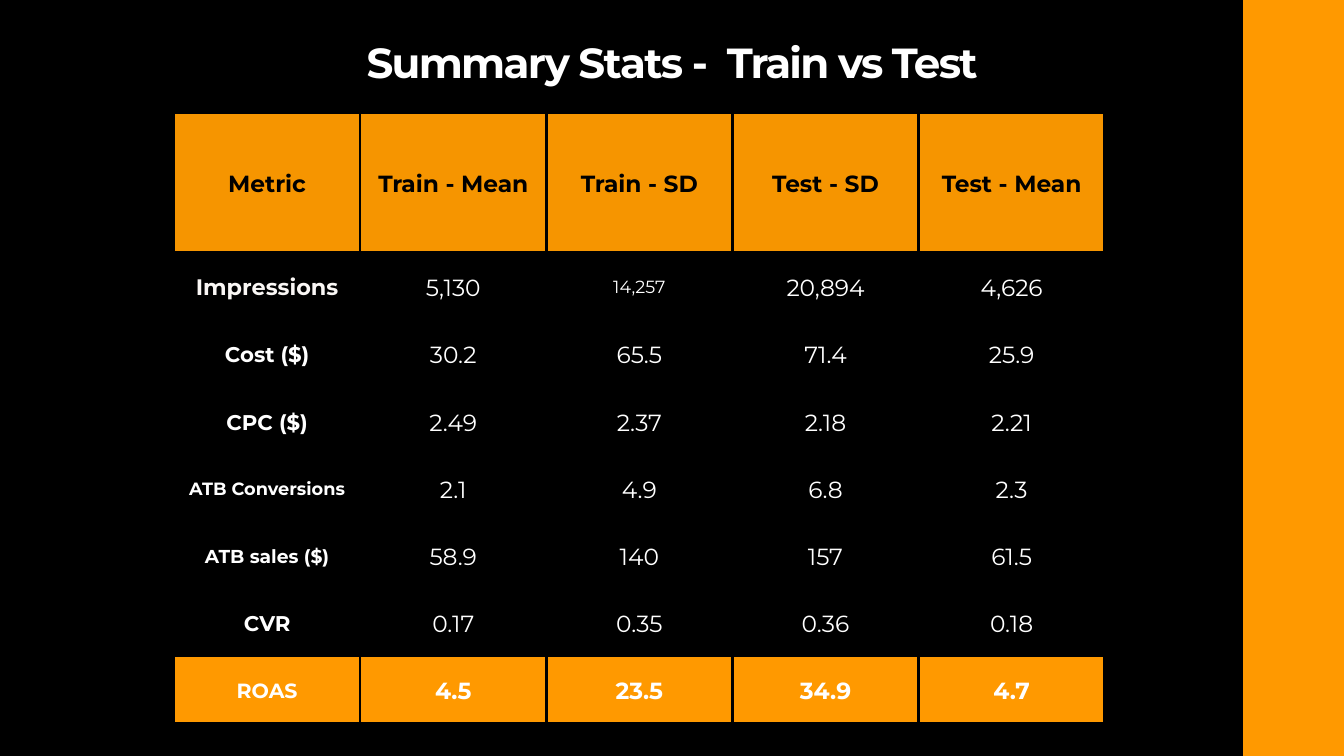
from lxml.etree import SubElement
from pptx import Presentation
from pptx.dml.color import RGBColor
from pptx.enum.shapes import MSO_SHAPE
from pptx.enum.text import MSO_ANCHOR, MSO_AUTO_SIZE, PP_ALIGN
from pptx.oxml.ns import qn
from pptx.util import Inches, Pt

FONT = "Montserrat"
BLACK, WHITE, OFF_WHITE = "000000", "FFFFFF", "FAF7F5"
ORANGE, HEADER_ORANGE = "FF9900", "F69500"

TITLE = "Summary Stats -  Train vs Test"
ROWS = [
    ("Metric", "Train - Mean", "Train - SD", "Test - SD", "Test - Mean"),
    ("Impressions", "5,130", "14,257", "20,894", "4,626"),
    ("Cost ($)", "30.2", "65.5", "71.4", "25.9"),
    ("CPC ($)", "2.49", "2.37", "2.18", "2.21"),
    ("ATB Conversions", "2.1", "4.9", "6.8", "2.3"),
    ("ATB sales ($)", "58.9", "140", "157", "61.5"),
    ("CVR", "0.17", "0.35", "0.36", "0.18"),
    ("ROAS", "4.5", "23.5", "34.9", "4.7"),
]
ROW_HEIGHTS = [2.07, 1.01] + [1] * 6
COLUMN_WIDTH = 2.77
CELL_MARGIN = 0.21
VALUE_SIZE = 25
SPECIAL_SIZES = {
    "Impressions": 24, "Cost ($)": 22.8, "CPC ($)": 22.8, "CVR": 22.8,
    "ATB Conversions": 19, "ATB sales ($)": 20, "ROAS": 22, "14,257": 18.8,
}


def rgb(value):
    return RGBColor.from_string(value)


def set_text(text_frame, text, size, color, bold):
    text_frame.text = text
    paragraph = text_frame.paragraphs[0]
    paragraph.alignment = PP_ALIGN.CENTER
    paragraph.line_spacing = Pt(round(size * 1.4, 1))
    run = paragraph.runs[0]
    run.font.name = FONT
    run.font.size = Pt(size)
    run.font.bold = bold
    run.font.color.rgb = rgb(color)
    return run


def set_margins(item, margin):
    item.margin_left = item.margin_right = Inches(margin)
    item.margin_top = item.margin_bottom = Inches(margin)


def set_borders(cell, color, width):
    properties = cell._tc.get_or_add_tcPr()
    for side in ("a:lnL", "a:lnR", "a:lnT", "a:lnB"):
        line = SubElement(properties, qn(side), w=str(Pt(width)))
        fill = SubElement(line, qn("a:solidFill"))
        SubElement(fill, qn("a:srgbClr"), val=color)


def add_title(slide):
    title = slide.shapes.title
    title.left, title.top = Inches(0), Inches(0.42)
    title.width, title.height = Inches(20), Inches(0.83)
    text_frame = title.text_frame
    set_margins(text_frame, 0)
    text_frame.word_wrap = True
    text_frame.auto_size = MSO_AUTO_SIZE.NONE
    text_frame.vertical_anchor = MSO_ANCHOR.TOP
    run = set_text(text_frame, TITLE, 45, WHITE, True)
    run.font._element.set("spc", "-180")


def add_side_bar(slide):
    bar = slide.shapes.add_shape(
        MSO_SHAPE.RECTANGLE, Inches(18.5), Inches(0), Inches(1.5), Inches(11.25))
    bar.shadow.inherit = False
    bar.fill.solid()
    bar.fill.fore_color.rgb = rgb(ORANGE)
    bar.line.fill.background()


def add_stats_table(slide):
    column_count, last_row = len(ROWS[0]), len(ROWS) - 1
    table = slide.shapes.add_table(
        len(ROWS), column_count, Inches(2.59), Inches(1.68),
        Inches(COLUMN_WIDTH * column_count), Inches(sum(ROW_HEIGHTS))).table
    table.first_row = table.horz_banding = False
    row_fills = {0: HEADER_ORANGE, last_row: ORANGE}
    for column in table.columns:
        column.width = Inches(COLUMN_WIDTH)
    for row_index, values in enumerate(ROWS):
        table.rows[row_index].height = Inches(ROW_HEIGHTS[row_index])
        for column_index, value in enumerate(values):
            cell = table.cell(row_index, column_index)
            set_margins(cell, CELL_MARGIN)
            cell.vertical_anchor = MSO_ANCHOR.MIDDLE
            set_borders(cell, BLACK, 3)
            if row_index in row_fills:
                cell.fill.solid()
                cell.fill.fore_color.rgb = rgb(row_fills[row_index])
            else:
                cell.fill.background()
            color = BLACK if row_index == 0 else WHITE
            if value == "Impressions":
                color = OFF_WHITE
            bold = column_index == 0 or row_index in row_fills
            size = SPECIAL_SIZES.get(value, VALUE_SIZE)
            set_text(cell.text_frame, value, size, color, bold)


def main():
    presentation = Presentation()
    presentation.slide_width = Inches(20)
    presentation.slide_height = Inches(11.25)
    slide = presentation.slides.add_slide(presentation.slide_layouts[5])
    slide.background.fill.solid()
    slide.background.fill.fore_color.rgb = rgb(BLACK)
    add_side_bar(slide)
    add_stats_table(slide)
    add_title(slide)
    presentation.save("out.pptx")


if __name__ == "__main__":
    main()
